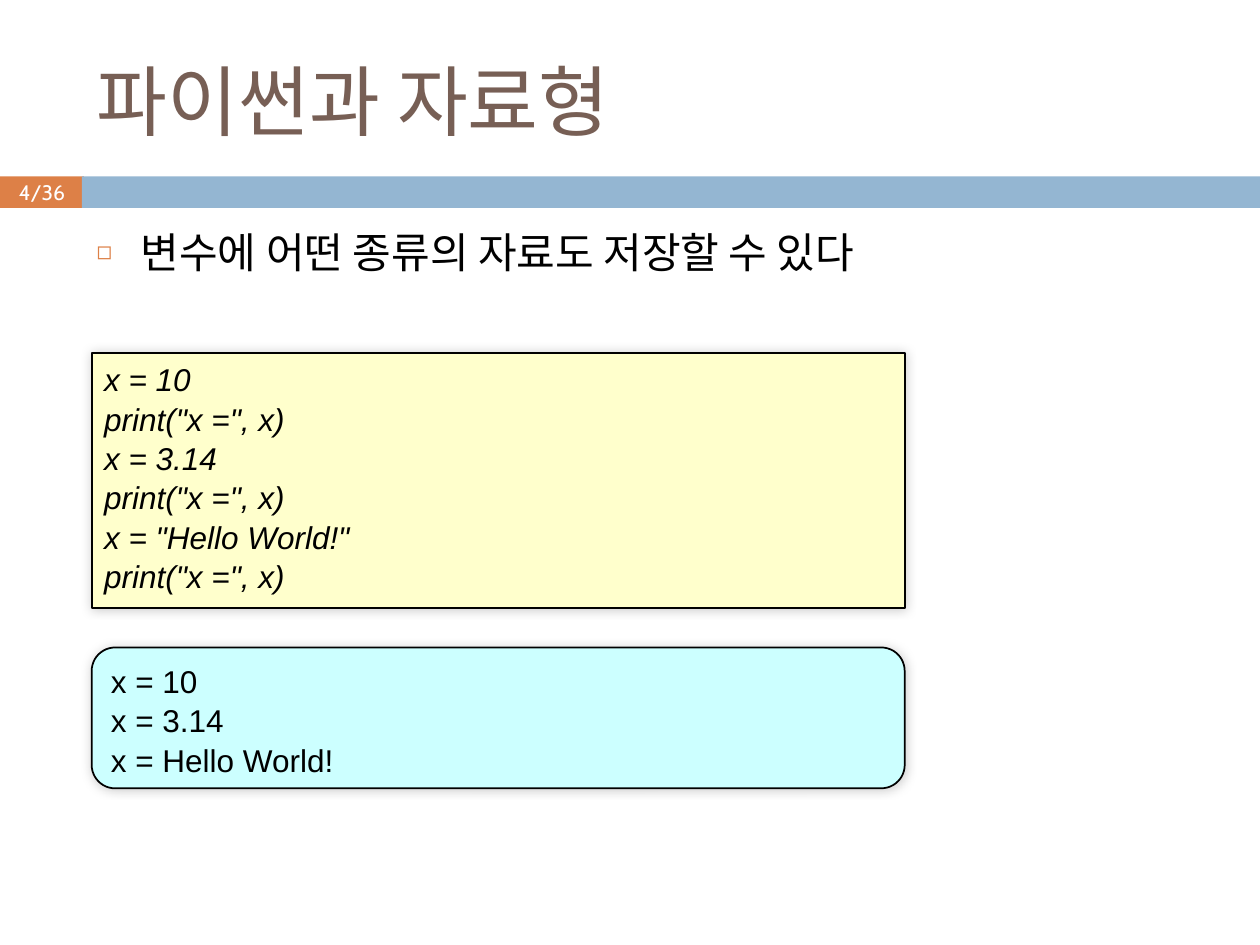
from dataclasses import dataclass

from pptx import Presentation
from pptx import util as u
from pptx.dml.color import RGBColor
from pptx.enum import shapes, text
from pptx.oxml import parse_xml
from pptx.oxml.ns import nsdecls, qn


@dataclass(frozen=True)
class Theme:
    heading_font: str = "Cabin"
    text_font: str = "Arial"
    title_size: int = 44
    body_size: int = 24
    code_size: int = 18
    number_size: int = 12
    brown: str = "775F55"
    orange: str = "DD8047"
    blue: str = "94B6D2"
    cream: str = "FFFFCC"
    aqua: str = "CCFFFF"
    black: str = "000000"
    white: str = "FFFFFF"


class SlideBuilder:
    """Holds the theme and the slide being filled; lengths are in points."""

    def __init__(self, slide, theme):
        self.slide = slide
        self.theme = theme

    def place(self, shape, bounds):
        for name, value in zip(("left", "top", "width", "height"), bounds):
            setattr(shape, name, u.Pt(value))

    def fill_text(self, shape, lines, font, size, color, italic=False,
                  anchor=text.MSO_ANCHOR.TOP, **paragraph_format):
        frame = shape.text_frame
        frame_format = {"word_wrap": True, "vertical_anchor": anchor,
                        "auto_size": text.MSO_AUTO_SIZE.NONE}
        for name, value in frame_format.items():
            setattr(frame, name, value)
        paragraph_format = {"alignment": text.PP_ALIGN.LEFT, **paragraph_format}
        span_format = {"name": font, "size": u.Pt(size), "italic": italic}
        for index, line in enumerate(lines):
            para = frame.add_paragraph() if index else frame.paragraphs[0]
            for name, value in paragraph_format.items():
                setattr(para, name, value)
            span = para.add_run()
            span.text = line
            for name, value in span_format.items():
                setattr(span.font, name, value)
            span.font.color.rgb = RGBColor.from_string(color)

    def title(self, words, bounds):
        box = self.slide.shapes.title
        self.place(box, bounds)
        self.fill_text(box, [words], self.theme.heading_font,
                       self.theme.title_size, self.theme.brown,
                       anchor=text.MSO_ANCHOR.MIDDLE)

    def bullets(self, lines, bounds):
        box = self.slide.placeholders[1]
        self.place(box, bounds)
        self.fill_text(box, lines, self.theme.text_font, self.theme.body_size,
                       self.theme.black, space_before=u.Pt(7))
        indent = u.Pt(25.2)
        for para in box.text_frame.paragraphs:
            properties = para._p.get_or_add_pPr()
            properties.set("marL", str(indent))
            properties.set("indent", str(-indent))
            for mark in (
                f'<a:buClr {nsdecls("a")}><a:srgbClr val="{self.theme.orange}"/></a:buClr>',
                f'<a:buSzPct {nsdecls("a")} val="60000"/>',
                f'<a:buChar {nsdecls("a")} char="◻"/>',
            ):
                properties.append(parse_xml(mark))

    def block(self, kind, bounds, fill):
        box = self.slide.shapes.add_shape(kind, *map(u.Pt, bounds))
        box.shadow.inherit = False
        box.fill.solid()
        box.fill.fore_color.rgb = RGBColor.from_string(fill)
        box.line.fill.background()
        return box

    def band(self, bounds, fill, label=None):
        box = self.block(shapes.MSO_SHAPE.RECTANGLE, bounds, fill)
        if label:
            self.fill_text(box, [label], self.theme.heading_font,
                           self.theme.number_size, self.theme.white,
                           anchor=text.MSO_ANCHOR.MIDDLE,
                           alignment=text.PP_ALIGN.CENTER)

    def code_panel(self, kind, bounds, fill, lines, italic=False):
        """Outlined panel with a soft shadow, one paragraph per code line."""
        box = self.block(kind, bounds, fill)
        box.line.color.rgb = RGBColor.from_string(self.theme.black)
        box.line.width = u.Pt(1)
        box._element.spPr.find(qn("a:effectLst")).append(parse_xml(
            f'<a:outerShdw {nsdecls("a")} blurRad="{u.Pt(6)}" dist="0" '
            f'dir="{315 * 60000}" rotWithShape="0">'
            f'<a:srgbClr val="{self.theme.black}"><a:alpha val="20000"/>'
            '</a:srgbClr></a:outerShdw>'))
        self.fill_text(box, lines, self.theme.text_font, self.theme.code_size,
                       self.theme.black, italic, line_spacing=1.04)


def main():
    deck = Presentation()
    deck.slide_width, deck.slide_height = u.Pt(720), u.Pt(540)
    theme = Theme()
    page = SlideBuilder(deck.slides.add_slide(deck.slide_layouts[1]), theme)

    page.band((0, 100.8, 48, 18), theme.orange, "4/36")
    page.band((46.8, 100.8, 673.2, 18), theme.blue)
    page.title("파이썬과 자료형", (48, 18, 642, 78))
    page.bullets(["변수에 어떤 종류의 자료도 저장할 수 있다"], (48, 126, 642, 394))

    code = []
    for value in ("10", "3.14", '"Hello World!"'):
        code += [f"x = {value}", 'print("x =", x)']
    page.code_panel(shapes.MSO_SHAPE.RECTANGLE, (52.4, 201.6, 464.6, 146),
                    theme.cream, code, italic=True)
    page.code_panel(shapes.MSO_SHAPE.FLOWCHART_ALTERNATE_PROCESS,
                    (52.4, 370, 464.6, 80.5), theme.aqua,
                    ["x = 10", "x = 3.14", "x = Hello World!"])
    deck.save("out.pptx")


if __name__ == "__main__":
    main()
